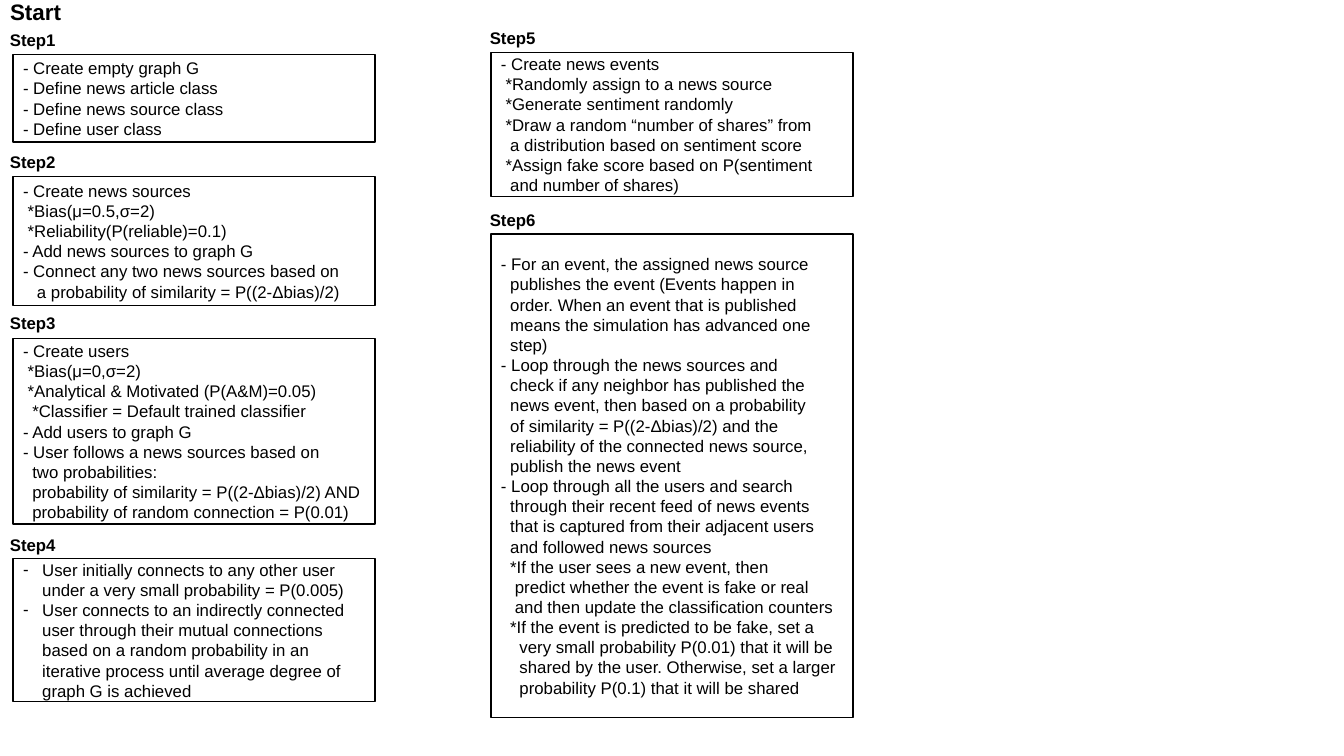
from lxml import etree
from pptx import Presentation, util as u
from pptx.dml.color import RGBColor
from pptx.enum import shapes, text
from pptx.oxml.ns import qn

COLORS = {"ink": "000000", "paper": "FFFFFF"}
FONT = "Arial"
BODY_SIZE, TITLE_SIZE = 12, 16
SPACE = 0.046  # width of one indent unit, inches
BULLET_INDENT = 0.19
BOX_WIDTH = 3.59
LABEL_WIDTH, LABEL_HEIGHT = 0.8, 0.3

# Each paragraph: (first-line indent units, hanging indent units, wording).
# A first-line indent of None makes a dash bullet.
# Each step: (label top, box top, box height, paragraphs).
LEFT_STEPS = [
    (0.25, 0.54, 0.87, [
        (0, 0, "- Create empty graph G"),
        (0, 0, "- Define news article class"),
        (0, 0, "- Define news source class"),
        (0, 0, "- Define user class"),
    ]),
    (1.46, 1.75, 1.28, [
        (0, 0, "- Create news sources"),
        (1, 1, "*Bias(μ=0.5,σ=2)"),
        (1, 1, "*Reliability(P(reliable)=0.1)"),
        (0, 0, "- Add news sources to graph G"),
        (0, 3, "- Connect any two news sources based on\n"
               "a probability of similarity = P((2-Δbias)/2)"),
    ]),
    (3.05, 3.36, 1.84, [
        (0, 0, "- Create users"),
        (1, 1, "*Bias(μ=0,σ=2)"),
        (1, 1, "*Analytical & Motivated (P(A&M)=0.05)"),
        (2, 2, "*Classifier = Default trained classifier"),
        (0, 0, "- Add users to graph G"),
        (0, 2, "- User follows a news sources based on\n"
               "two probabilities:\n"
               "probability of similarity = P((2-Δbias)/2) AND\n"
               "probability of random connection = P(0.01)"),
    ]),
    (5.26, 5.54, 1.42, [
        (None, 0, "User initially connects to any other user\n"
                  "under a very small probability = P(0.005)"),
        (None, 0, "User connects to an indirectly connected user through "
                  "their mutual connections based on a random probability in "
                  "an iterative process until average degree of graph G is "
                  "achieved"),
    ]),
]
RIGHT_STEPS = [
    (0.23, 0.52, 1.43, [
        (0, 0, "- Create news events"),
        (1, 1, "*Randomly assign to a news source"),
        (1, 1, "*Generate sentiment randomly"),
        (1, 2, "*Draw a random “number of shares” from\n"
               "a distribution based on sentiment score"),
        (1, 2, "*Assign fake score based on P(sentiment\n"
               "and number of shares)"),
    ]),
    (2.03, 2.32, 4.8, [
        (0, 2, "- For an event, the assigned news source\n"
               "publishes the event (Events happen in\n"
               "order. When an event that is published\n"
               "means the simulation has advanced one\n"
               "step)"),
        (0, 2, "- Loop through the news sources and\n"
               "check if any neighbor has published the\n"
               "news event, then based on a probability\n"
               "of similarity = P((2-Δbias)/2) and the\n"
               "reliability of the connected news source,\n"
               "publish the news event"),
        (0, 2, "- Loop through all the users and search\n"
               "through their recent feed of news events\n"
               "that is captured from their adjacent users\n"
               "and followed news sources"),
        (2, 3, "*If the user sees a new event, then\n"
               "predict whether the event is fake or real\n"
               "and then update the classification counters"),
        (2, 4, "*If the event is predicted to be fake, set a\n"
               "very small probability P(0.01) that it will be\n"
               "shared by the user. Otherwise, set a larger\n"
               "probability P(0.1) that it will be shared"),
    ]),
]


def color(name):
    return RGBColor.from_string(COLORS[name])


def inches(*lengths):
    return [u.Inches(length) for length in lengths]


def write(paragraph, wording, size=BODY_SIZE, bold=False):
    paragraph.alignment = text.PP_ALIGN.LEFT
    for index, line in enumerate(wording.split("\n")):
        if index:
            paragraph.add_line_break()
        run = paragraph.add_run()
        run.text = line
        run.font.name = FONT
        run.font.size = u.Pt(size)
        run.font.bold = bold
        run.font.color.rgb = color("ink")


def indent(paragraph, first, hanging):
    properties = paragraph._p.get_or_add_pPr()
    if first is None:
        left, offset = BULLET_INDENT, -BULLET_INDENT
        etree.SubElement(properties, qn("a:buFont"), typeface=FONT)
        etree.SubElement(properties, qn("a:buChar"), char="-")
    else:
        left, offset = hanging * SPACE, (first - hanging) * SPACE
    properties.set("marL", str(u.Inches(left)))
    properties.set("indent", str(u.Inches(offset)))


def add_title(slide, wording):
    title = slide.shapes.title
    title.left, title.top, title.width, title.height = inches(0, -0.07, 1.09, 0.37)
    frame = title.text_frame
    frame.auto_size = text.MSO_AUTO_SIZE.NONE
    frame.vertical_anchor = text.MSO_ANCHOR.TOP
    write(frame.paragraphs[0], wording, TITLE_SIZE, bold=True)


def add_label(slide, left, top, wording):
    label = slide.shapes.add_textbox(*inches(left, top, LABEL_WIDTH, LABEL_HEIGHT))
    label.text_frame.word_wrap = True
    write(label.text_frame.paragraphs[0], wording, bold=True)


def add_box(slide, left, top, height, paragraphs):
    box = slide.shapes.add_shape(
        shapes.MSO_SHAPE.RECTANGLE, *inches(left, top, BOX_WIDTH, height))
    box.shadow.inherit = False
    box.fill.solid()
    box.fill.fore_color.rgb = color("paper")
    box.line.color.rgb = color("ink")
    box.line.width = u.Pt(1)
    frame = box.text_frame
    frame.word_wrap = True
    frame.vertical_anchor = text.MSO_ANCHOR.MIDDLE
    for index, (first, hanging, wording) in enumerate(paragraphs):
        paragraph = frame.add_paragraph() if index else frame.paragraphs[0]
        write(paragraph, wording)
        indent(paragraph, first, hanging)


def add_column(slide, label_left, box_left, steps, first_number):
    for number, step in enumerate(steps, first_number):
        label_top, box_top, height, paragraphs = step
        add_label(slide, label_left, label_top, f"Step{number}")
        add_box(slide, box_left, box_top, height, paragraphs)


def main():
    presentation = Presentation()
    presentation.slide_width, presentation.slide_height = inches(13.33, 7.5)
    slide = presentation.slides.add_slide(presentation.slide_layouts[5])
    add_title(slide, "Start")
    add_column(slide, 0, 0.13, LEFT_STEPS, 1)
    add_column(slide, 4.76, 4.87, RIGHT_STEPS, len(LEFT_STEPS) + 1)
    presentation.save("out.pptx")


if __name__ == "__main__":
    main()
